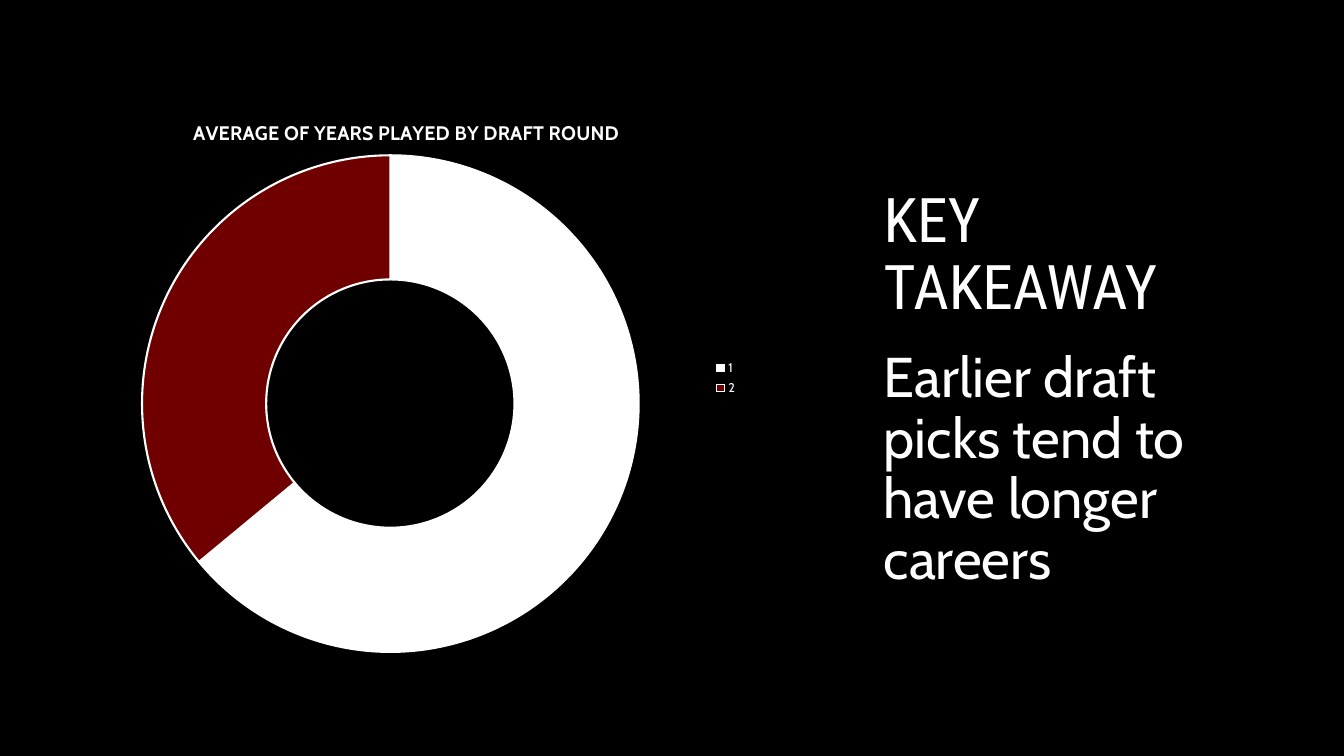
import pptx
import pptx.chart.data
import pptx.dml.color
import pptx.enum.chart
import pptx.enum.shapes
import pptx.enum.text
import pptx.oxml
import pptx.util
from dataclasses import dataclass

PX = 9525  # EMU per px, 96 px to the inch


@dataclass(frozen=True)
class Theme:
    black: str = "000000"
    white: str = "FFFFFF"
    maroon: str = "700000"
    heading_font: str = "Roboto Condensed"
    body_font: str = "Cabin"
    heading_size: int = 44
    body_size: int = 40
    chart_title_size: int = 14
    chart_size: int = 10
    legend_size: int = 9


THEME = Theme()


def rgb(code):
    return pptx.dml.color.RGBColor.from_string(code)


def set_attributes(target, values):
    for name, value in values.items():
        setattr(target, name, value)


def style_font(font, name, size, bold=False):
    set_attributes(font, {"name": name, "size": pptx.util.Pt(size), "bold": bold})
    font.color.rgb = rgb(THEME.white)


def place(sp, box):
    for name, value in zip(("left", "top", "width", "height"), box):
        setattr(sp, name, value * PX)


def xml(tag, content="", attributes=""):
    namespaces = pptx.oxml.ns.nsdecls("a", "c")
    return pptx.oxml.parse_xml(f"<{tag} {namespaces} {attributes}>{content}</{tag}>")


def chart_layout(target, **fractions):
    """Fix the place of a chart part as fractions of the chart box."""
    modes = "".join(f'<c:{k}Mode val="edge"/>' for k in "xy")
    values = "".join(f'<c:{k} val="{v}"/>' for k, v in fractions.items())
    inner = '<c:layoutTarget val="inner"/>' if "w" in fractions else ""
    return xml("c:layout", f"<c:manualLayout>{inner}{modes}{values}</c:manualLayout>")


def replace_layout(parent, layout, index):
    for old in parent.findall(pptx.oxml.ns.qn("c:layout")):
        parent.remove(old)
    parent.insert(index, layout)


def add_panel(s, box):
    """Translucent panel behind the chart."""
    sp = s.shapes.add_shape(pptx.enum.shapes.MSO_SHAPE.RECTANGLE, 0, 0, 0, 0)
    place(sp, box)
    sp.shadow.inherit = False
    sp.line.fill.background()
    sp.fill.solid()
    sp.fill.fore_color.rgb = rgb(THEME.black)
    color = sp.fill._xPr.find(".//" + pptx.oxml.ns.qn("a:srgbClr"))
    color.append(xml("a:alpha", attributes='val="60000"'))
    s.shapes._spTree.insert(2, sp._element)


def add_doughnut(s, box):
    """Doughnut chart with its title and legend."""
    data = pptx.chart.data.CategoryChartData()
    data.categories = ["1", "2"]
    data.add_series("Series 1", (64, 36))
    kind = pptx.enum.chart.XL_CHART_TYPE.DOUGHNUT
    chart = s.shapes.add_chart(kind, *(v * PX for v in box), data).chart
    style_font(chart.font, THEME.body_font, THEME.chart_size)

    # Title
    title = chart.chart_title
    p = title.text_frame.paragraphs[0]
    r = p.add_run()
    r.text = "AVERAGE OF YEARS PLAYED BY DRAFT ROUND"
    style_font(r.font, THEME.body_font, THEME.chart_title_size, bold=True)
    replace_layout(title._element, chart_layout(title, x=0.18, y=0.04), 1)

    # Legend
    chart.has_legend = True
    set_attributes(chart.legend, {
        "position": pptx.enum.chart.XL_LEGEND_POSITION.RIGHT,
        "include_in_layout": False,
    })
    style_font(chart.legend.font, THEME.body_font, THEME.legend_size)

    # Ring
    plot = chart.plots[0]
    plot.vary_by_categories = True
    plot._element.find(pptx.oxml.ns.qn("c:holeSize")).set("val", "75")
    for index, color in enumerate((THEME.white, THEME.maroon)):
        slice_format = plot.series[0].points[index].format
        slice_format.fill.solid()
        slice_format.fill.fore_color.rgb = rgb(color)
        slice_format.line.color.rgb = rgb(THEME.white)
        slice_format.line.width = pptx.util.Pt(1.5)
    ring = chart_layout(plot, x=0.11, y=0.11, w=0.73, h=0.87)
    replace_layout(plot._element.getparent(), ring, 0)


def fill_placeholder(sp, box, text, font, size, anchor, before=0, right=10):
    """Left-aligned, unbulleted text in a template placeholder."""
    place(sp, box)
    tf = sp.text_frame
    set_attributes(tf, {
        "word_wrap": True,
        "auto_size": pptx.enum.text.MSO_AUTO_SIZE.NONE,
        "vertical_anchor": anchor,
        "margin_right": right * PX,
    })
    p = tf.paragraphs[0]
    set_attributes(p, {
        "alignment": pptx.enum.text.PP_ALIGN.LEFT,
        "line_spacing": 0.9,
        "space_before": pptx.util.Pt(before),
    })
    properties = p._p.get_or_add_pPr()
    properties.set("marL", "0")
    properties.set("indent", "0")
    properties.append(xml("a:buNone"))
    r = p.add_run()
    r.text = text
    style_font(r.font, font, size)


def add_takeaway(s, box):
    """Heading above the message, with a gap between."""
    left, top, width, height = box
    heading_height, gap = 224, 16
    body_top = heading_height + gap
    anchors = pptx.enum.text.MSO_ANCHOR
    fill_placeholder(s.shapes.title, (left, top, width, heading_height),
                     "KEY TAKEAWAY", THEME.heading_font, THEME.heading_size,
                     anchors.BOTTOM, right=40)
    fill_placeholder(s.placeholders[1],
                     (left, top + body_top, width, height - body_top),
                     "Earlier draft picks tend to have longer careers",
                     THEME.body_font, THEME.body_size, anchors.TOP, before=12)


def main():
    prs = pptx.Presentation()
    set_attributes(prs, {"slide_width": 1280 * PX, "slide_height": 720 * PX})
    s = prs.slides.add_slide(prs.slide_layouts[1])
    s.background.fill.solid()
    s.background.fill.fore_color.rgb = rgb(THEME.black)
    add_panel(s, (0, 0, 784, 720))
    add_takeaway(s, (832, 88, 384, 544))
    add_doughnut(s, (64, 88, 648, 544))
    prs.save("out.pptx")


if __name__ == "__main__":
    main()
